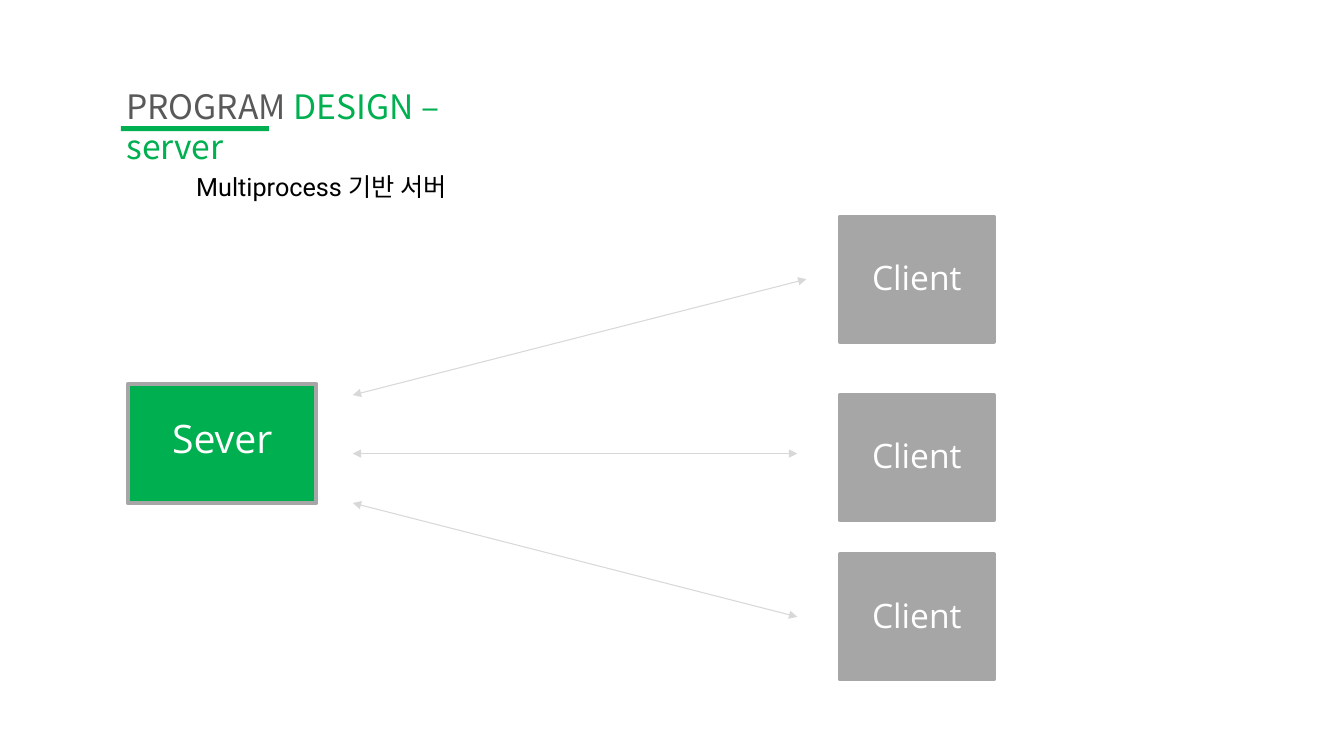
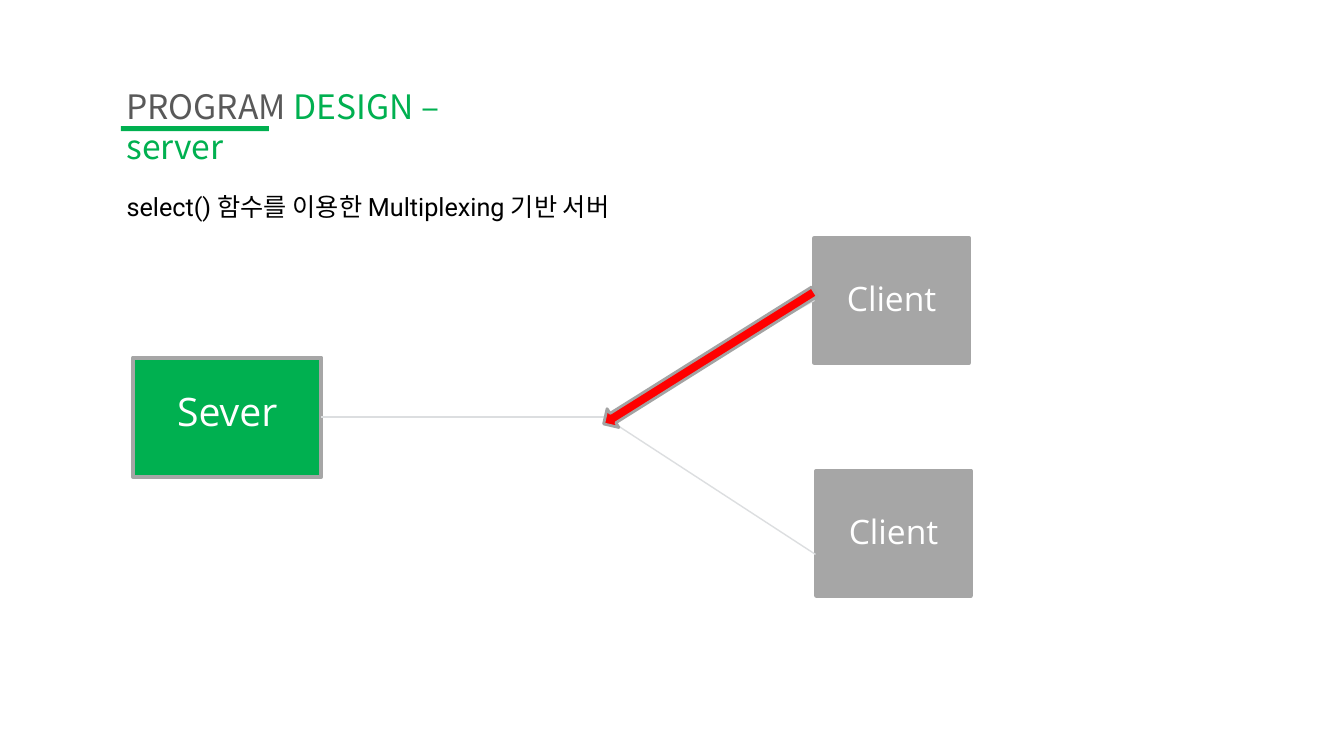
from lxml import etree
from pptx import Presentation
from pptx import util as u
from pptx.dml.color import RGBColor
from pptx.enum import shapes, text
from pptx.oxml.ns import qn

Pt = u.Pt
GREEN, GREY, DARK, WHITE, BLACK = "00B050", "A6A6A6", "595959", "FFFFFF", "000000"
RED, RED_EDGE, PALE, SILVER = "FF0000", "A3A3A3", "D8D8D8", "DCDEE0"
KOREAN = "Noto Sans CJK KR"

TITLE = [("PROGRAM ", DARK), ("DESIGN – server", GREEN)]
TITLE_BOX = (83, 57.6, 307.4, 36)
UNDERLINE_BOX = (86.4, 90, 105.8, 3.6)
SUBTITLE_SIZE = (478, 77.8)

SERVER = {"label": "Sever", "fill": GREEN, "font_size": 28, "box_size": (134.6, 85), "inset": 21.4}
CLIENT = {"label": "Client", "fill": GREY, "font_size": 24, "box_size": (110.2, 89.3), "inset": 28.6}

MULTIPROCESS = {
    "subtitle": ("Multiprocess 기반 서버", -9.4, 118),
    "server": (91.4, 274.3),
    "clients": [(599.8, 154.8), (599.8, 282.2), (599.8, 396)],
}
LINKS = [
    ((252, 282.2), (576, 199.4)),
    ((252, 324), (569.5, 324)),
    ((252, 359.3), (569.5, 440.6)),
]

MULTIPLEXING = {
    "subtitle": ("select() 함수를 이용한 Multiplexing 기반 서버", 23.8, 132.5),
    "server": (95, 255.5),
    "clients": [(581.8, 169.9), (583.2, 336.2)],
}
HUB = (432, 298)
LOWER_END = (582.5, 396)
RED_ARROW = {"box": (417.6, 247.7, 177.8, 15.8), "rotation": 327.9}


def rgb(value):
    return RGBColor.from_string(value)


def points(values):
    return [Pt(v) for v in values]


def apply(target, **formats):
    for name, value in formats.items():
        setattr(target, name, value)


def add_run(p, content, size, font, color):
    r = p.add_run()
    r.text = content
    apply(r.font, size=Pt(size), name=font)
    r.font.color.rgb = rgb(color)
    etree.SubElement(r.font._element, qn("a:ea")).set("typeface", KOREAN)


def add_block(s, kind, box, fill, edge=None, width=0):
    sp = s.shapes.add_shape(kind, *points(box))
    sp.shadow.inherit = False
    sp.fill.solid()
    sp.fill.fore_color.rgb = rgb(fill)
    if edge:
        sp.line.color.rgb = rgb(edge)
        sp.line.width = Pt(width)
    else:
        sp.line.fill.background()
    return sp


def add_node(s, style, position):
    sp = add_block(s, shapes.MSO_SHAPE.RECTANGLE, position + style["box_size"], style["fill"], GREY, 3)
    tf = sp.text_frame
    apply(tf, vertical_anchor=text.MSO_ANCHOR.TOP, margin_top=Pt(style["inset"]), margin_bottom=0)
    p = tf.paragraphs[0]
    p.alignment = text.PP_ALIGN.CENTER
    add_run(p, style["label"], style["font_size"], "Open Sans", WHITE)
    return sp


def add_line(s, start, end, color, width, arrows=False):
    line = s.shapes.add_connector(shapes.MSO_CONNECTOR.STRAIGHT, *points(start + end))
    line.line.color.rgb = rgb(color)
    line.line.width = Pt(width)
    if arrows:
        ln = line.line._get_or_add_ln()
        for tag in ("a:headEnd", "a:tailEnd"):
            etree.SubElement(ln, qn(tag)).set("type", "triangle")
    etree.SubElement(line._element.spPr, qn("a:effectLst"))
    return line


def add_title(s):
    title = s.shapes.title
    apply(title, **dict(zip(("left", "top", "width", "height"), points(TITLE_BOX))))
    tf = title.text_frame
    apply(tf, word_wrap=True, auto_size=text.MSO_AUTO_SIZE.NONE, vertical_anchor=text.MSO_ANCHOR.TOP)
    p = tf.paragraphs[0]
    apply(p, alignment=text.PP_ALIGN.LEFT, line_spacing=1.0)
    for content, color in TITLE:
        add_run(p, content, 24, KOREAN, color)
    add_block(s, shapes.MSO_SHAPE.RECTANGLE, UNDERLINE_BOX, GREEN)


def add_subtitle(s, content, left, top):
    tf = s.shapes.add_textbox(*points((left, top) + SUBTITLE_SIZE)).text_frame
    apply(tf, word_wrap=True, margin_left=Pt(9.4), margin_right=Pt(9.4), margin_top=Pt(4.3))
    p = tf.paragraphs[0]
    p.alignment = text.PP_ALIGN.CENTER
    add_run(p, content, 18, "Roboto", BLACK)


def add_design_slide(prs, design):
    s = prs.slides.add_slide(prs.slide_layouts[5])
    add_title(s)
    add_subtitle(s, *design["subtitle"])
    server = add_node(s, SERVER, design["server"])
    clients = [add_node(s, CLIENT, position) for position in design["clients"]]
    return s, server, clients


def main():
    prs = Presentation()
    apply(prs, slide_width=Pt(960), slide_height=Pt(540))

    s, _, _ = add_design_slide(prs, MULTIPROCESS)
    for start, end in LINKS:
        add_line(s, start, end, PALE, 0.75, arrows=True)

    s, server, clients = add_design_slide(prs, MULTIPLEXING)
    add_line(s, HUB, HUB, SILVER, 1).begin_connect(server, 3)
    add_line(s, HUB, HUB, SILVER, 1).end_connect(clients[0], 1)
    add_line(s, HUB, LOWER_END, SILVER, 1)
    arrow = add_block(s, shapes.MSO_SHAPE.LEFT_ARROW, RED_ARROW["box"], RED, RED_EDGE, 2)
    arrow.rotation = RED_ARROW["rotation"]

    prs.save("out.pptx")


if __name__ == "__main__":
    main()
